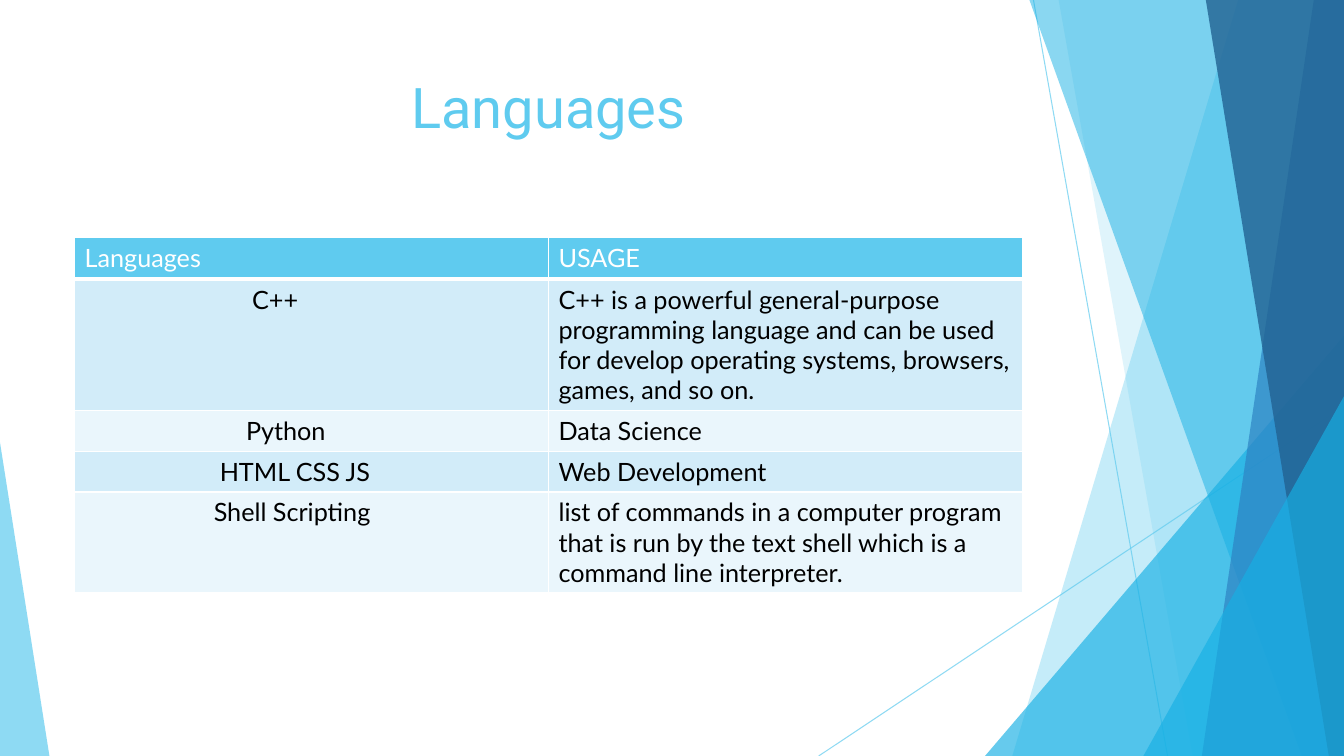
from lxml.etree import SubElement
from pptx import Presentation
from pptx.dml.color import RGBColor
from pptx.enum.shapes import MSO_CONNECTOR, MSO_SHAPE
from pptx.enum.text import MSO_ANCHOR, PP_ALIGN
from pptx.oxml.ns import qn
from pptx.util import Inches, Pt

SKY = RGBColor(0x5F, 0xCB, 0xEF)
CYAN = RGBColor(0x17, 0xB0, 0xE4)
BLUE = RGBColor(0x2E, 0x83, 0xC3)
NAVY = RGBColor(0x22, 0x62, 0x92)
PALE = RGBColor(0xD2, 0xEC, 0xF9)
MIST = RGBColor(0xEA, 0xF6, 0xFC)
WHITE = RGBColor(255, 255, 255)
BLACK = RGBColor(0, 0, 0)
WIDE, HIGH = 13.33, 7.5

# Table content: language, its indent, usage, row height
HEAD = ("Languages", 0.1, "USAGE", 0.41)
ROWS = [
    HEAD,
    ("C++", 1.76, "C++ is a powerful general-purpose programming language and "
     "can be used for develop operating systems, browsers, games, and so on.", 1.29),
    ("Python", 1.7, "Data Science", 0.41),
    ("HTML CSS JS", 1.44, "Web Development", 0.4),
    ("Shell Scripting", 1.38, "list of commands in a computer program that is run "
     "by the text shell which is a command line interpreter.", 1.0),
]

# Backdrop, back to front
RAYS = [(10.25, 0, 11.58, HIGH), (WIDE, 4.03, 8.12, HIGH)]
# Bands run from a slanted left edge (top x, bottom x) to the slide's right edge;
# wedges stand on the bottom edge: left, top, width, apex side
PARTS = [
    ("band", (12.28, 10.04), SKY, 36),
    ("band", (10.5, 11.83), SKY, 20),
    ("wedge", (9.77, 3.33, 3.56, 1), CYAN, 66),
    ("band", (10.21, 12.91), CYAN, 50),
    ("band", (13.03, 11.92), BLUE, 70),
    ("band", (11.96, 13.18), NAVY, 80),
    ("wedge", (11.34, 3.93, 1.99, 1), CYAN, 66),
    ("wedge", (0, 4.39, 0.49, 0), SKY, 70),
]

deck = Presentation()
deck.slide_width, deck.slide_height = Inches(WIDE), Inches(HIGH)
slide = deck.slides.add_slide(deck.slide_layouts[6])
shapes = slide.shapes


def fade(props, alpha):
    for color in props.iter(qn("a:srgbClr")):
        SubElement(color, qn("a:alpha"), val=str(alpha * 1000))


def band(top, base):
    edge = [(top, 0), (WIDE, 0), (WIDE, HIGH), (base, HIGH)]
    spots = [(Inches(x), Inches(y)) for x, y in edge]
    pen = shapes.build_freeform(*spots[0])
    pen.add_line_segments(spots[1:], close=True)
    return pen.convert_to_shape()


def wedge(left, top, width, apex):
    shape = shapes.add_shape(MSO_SHAPE.ISOSCELES_TRIANGLE, Inches(left),
                             Inches(top), Inches(width), Inches(HIGH - top))
    shape.adjustments[0] = apex
    return shape


def style(para, font, size, color):
    for run in para.runs:
        run.font.name, run.font.size = font, Pt(size)
        run.font.bold = False
        run.font.color.rgb = color


def border(cell, base):
    props = cell._tc.get_or_add_tcPr()
    for spot, (side, width) in enumerate(
            [("lnL", 1), ("lnR", 1), ("lnT", 1), ("lnB", base)]):
        line = SubElement(props, qn("a:" + side), w=str(Pt(width)))
        fill = SubElement(line, qn("a:solidFill"))
        SubElement(fill, qn("a:srgbClr"), val=str(WHITE))
        props.insert(spot, line)


# Thin rays
for ray in RAYS:
    line = shapes.add_connector(MSO_CONNECTOR.STRAIGHT, *map(Inches, ray))
    line.line.color.rgb, line.line.width = SKY, Pt(0.75)
    props = line._element.spPr
    fade(props, 70)
    SubElement(props, qn("a:effectLst"))

# Bands and wedges
for kind, spot, color, alpha in PARTS:
    shape = (band if kind == "band" else wedge)(*spot)
    shape.shadow.inherit = False
    shape.fill.solid()
    shape.fill.fore_color.rgb = color
    shape.line.fill.background()
    fade(shape._element.spPr, alpha)

# Title
title = shapes.add_textbox(Inches(0.74), Inches(0.67), Inches(9.4), Inches(1.44))
frame = title.text_frame
frame.word_wrap, frame.vertical_anchor = True, MSO_ANCHOR.TOP
frame.text = "Languages"
para = frame.paragraphs[0]
para.alignment = PP_ALIGN.CENTER
style(para, "Roboto", 40, SKY)

# Table
table = shapes.add_table(len(ROWS), 2, Inches(0.74), Inches(2.36), Inches(9.4),
                         Inches(sum(row[-1] for row in ROWS))).table
for index, (name, indent, usage, height) in enumerate(ROWS):
    table.rows[index].height = Inches(height)
    head = index == 0
    for col, (text, margin) in enumerate([(name, indent), (usage, 0.1)]):
        cell = table.cell(index, col)
        cell.text_frame.text = text
        cell.margin_left = Inches(margin)
        style(cell.text_frame.paragraphs[0], "Lato", 18, WHITE if head else BLACK)
        cell.fill.solid()
        cell.fill.fore_color.rgb = SKY if head else PALE if index % 2 else MIST
        border(cell, 3 if head else 1)

deck.save("out.pptx")
